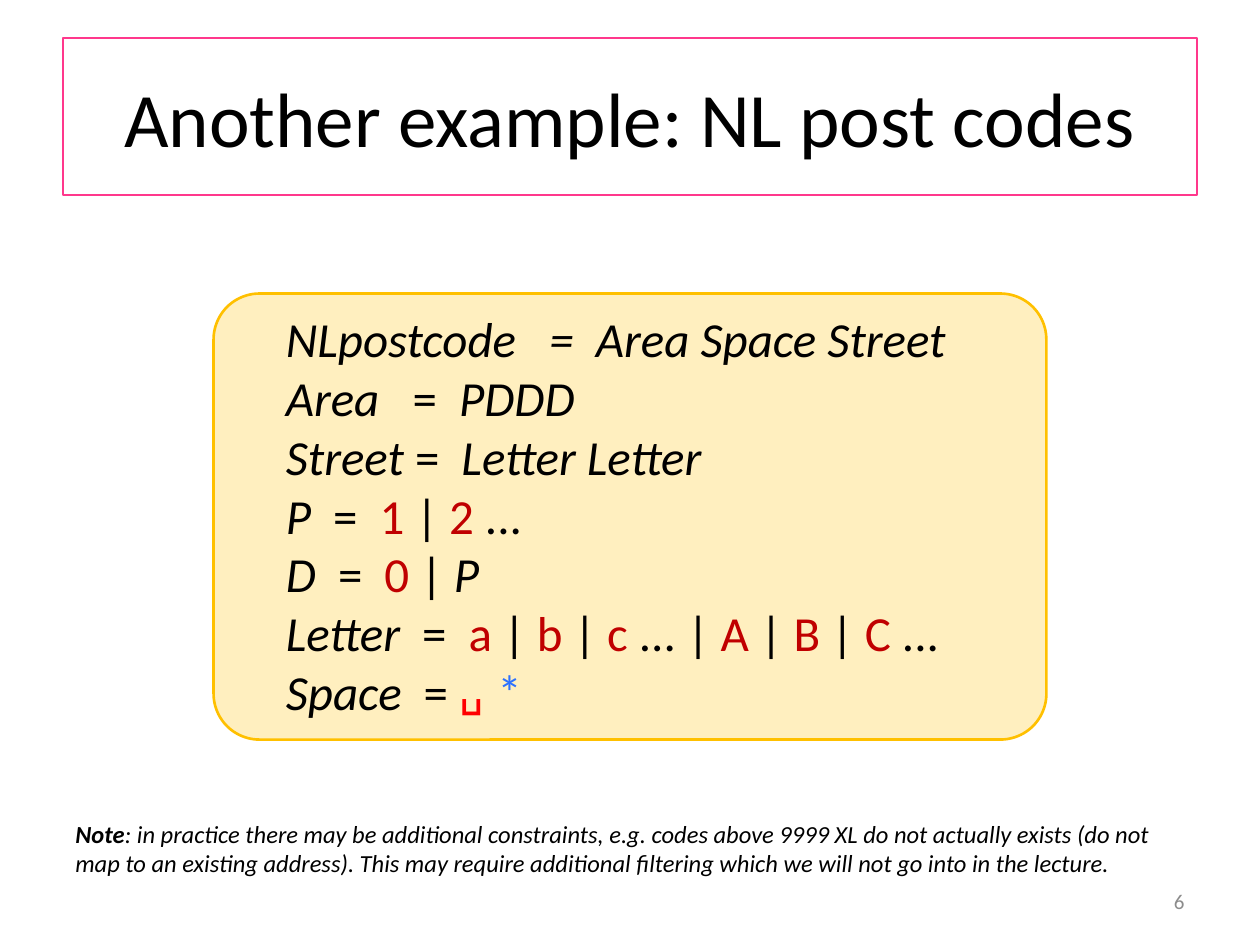
from dataclasses import dataclass
from lxml.etree import SubElement
from pptx import Presentation
from pptx.dml.color import RGBColor
from pptx.enum.shapes import MSO_SHAPE
from pptx.enum.text import MSO_ANCHOR, PP_ALIGN
from pptx.oxml.ns import qn
from pptx.util import Inches, Pt


@dataclass(frozen=True)
class Theme:
    font: str = "Calibri"
    symbol_font: str = "Arial"
    ink: str = "000000"
    muted: str = "8C8C8C"
    pink: str = "FF388C"
    amber: str = "FFC000"
    terminal: str = "C00000"
    blank: str = "FF0000"
    operator: str = "2C71FF"
    title: int = 44
    grammar: int = 28
    note: int = 14
    number: int = 12


T = Theme()

# Content: each line is a list of (text, style) runs
TITLE = "Another example: NL post codes"
GRAMMAR = [
    [("NLpostcode   =  Area Space Street", "name")],
    [("Area   ", "name"), ("=  ", "plain"), ("PDDD", "name")],
    [("Street ", "name"), ("=  ", "plain"), ("Letter Letter", "name")],
    [("P  ", "name"), ("=  ", "plain"), ("1", "terminal"), (" | ", "plain"),
     ("2", "terminal"), (" ...", "plain")],
    [("D  ", "name"), ("=  ", "plain"), ("0", "terminal"), (" | ", "plain"),
     ("P", "name")],
    [("Letter  ", "name"), ("=  ", "plain"), ("a", "terminal"), (" | ", "plain"),
     ("b", "terminal"), (" | ", "plain"), ("c", "terminal"), (" ... | ", "plain"),
     ("A", "terminal"), (" | ", "plain"), ("B", "terminal"), (" | ", "plain"),
     ("C", "terminal"), (" ...", "plain")],
    [("Space  ", "name"), ("= ", "plain"), ("␣ ", "blank"), ("*", "operator")],
]
NOTE = [[
    ("Note", "strong"),
    (": in practice there may be additional constraints, e.g. codes above 9999 XL "
     "do not actually exists (do not map to an existing address). This may require "
     "additional filtering which we will not go into in the lecture.", "name"),
]]
NUMBER = [[("6", "muted")]]

STYLES = {
    "plain": {},
    "name": {"italic": True},
    "strong": {"italic": True, "bold": True},
    "terminal": {"color": T.terminal},
    "blank": {"color": T.blank, "name": T.symbol_font},
    "operator": {"color": T.operator},
    "muted": {"color": T.muted},
}

# Layout: inches, all parts share the side margin or the slide's centre
W, H, MARGIN = 10, 7.5, 0.5
INNER = W - 2 * MARGIN
PANEL_W, PANEL_H, PANEL_TOP = 6.61, 3.54, 2.33
TEXT_H = 3.4
NUMBER_W = 2.33
BOXES = {
    "title": (MARGIN, 0.3, INNER, 1.25),
    "panel": ((W - PANEL_W) / 2, PANEL_TOP, PANEL_W, PANEL_H),
    "grammar": (2.17, PANEL_TOP + (PANEL_H - TEXT_H) / 2, 5.57, TEXT_H),
    "note": (MARGIN, 6.45, INNER, 1),
    "number": (W - MARGIN - NUMBER_W, 6.95, NUMBER_W, 0.4),
}


def place(name):
    return [Inches(v) for v in BOXES[name]]


def set_all(obj, **values):
    for key, value in values.items():
        setattr(obj, key, value)


def outline(shape, color, width):
    shape.line.color.rgb = RGBColor.from_string(color)
    shape.line.width = Pt(width)


def write(tf, lines, size, align=PP_ALIGN.LEFT):
    for i, line in enumerate(lines):
        p = tf.paragraphs[0] if i == 0 else tf.add_paragraph()
        p.alignment = align
        for text, style in line:
            r = p.add_run()
            r.text = text
            look = {"name": T.font, "color": T.ink, "size": Pt(size),
                    "bold": False, "italic": False, **STYLES[style]}
            r.font.color.rgb = RGBColor.from_string(look.pop("color"))
            set_all(r.font, **look)


def add_text(slide, name, lines, size, align=PP_ALIGN.LEFT, **frame):
    tf = slide.shapes.add_textbox(*place(name)).text_frame
    set_all(tf, **{"word_wrap": True, **frame})
    write(tf, lines, size, align)


def main():
    prs = Presentation()
    set_all(prs, slide_width=Inches(W), slide_height=Inches(H))
    slide = prs.slides.add_slide(prs.slide_layouts.get_by_name("Title Only"))

    # Title in its outlined frame
    title = slide.shapes.title
    set_all(title, **dict(zip(("left", "top", "width", "height"), place("title"))))
    outline(title, T.pink, 1)
    title.text_frame.vertical_anchor = MSO_ANCHOR.MIDDLE
    write(title.text_frame, [[(TITLE, "plain")]], T.title, PP_ALIGN.CENTER)

    # Translucent panel behind the grammar
    panel = slide.shapes.add_shape(MSO_SHAPE.ROUNDED_RECTANGLE, *place("panel"))
    panel.adjustments[0] = 0.103
    panel.shadow.inherit = False
    panel.fill.solid()
    panel.fill.fore_color.rgb = RGBColor.from_string(T.amber)
    fill = panel.fill._xPr.find(qn("a:solidFill"))
    SubElement(fill[0], qn("a:alpha"), val="25000")
    outline(panel, T.amber, 1.5)

    # Grammar, note and slide number
    add_text(slide, "grammar", GRAMMAR, T.grammar, word_wrap=False)
    add_text(slide, "note", NOTE, T.note)
    add_text(slide, "number", NUMBER, T.number, PP_ALIGN.RIGHT,
             vertical_anchor=MSO_ANCHOR.MIDDLE)

    prs.save("out.pptx")


if __name__ == "__main__":
    main()
